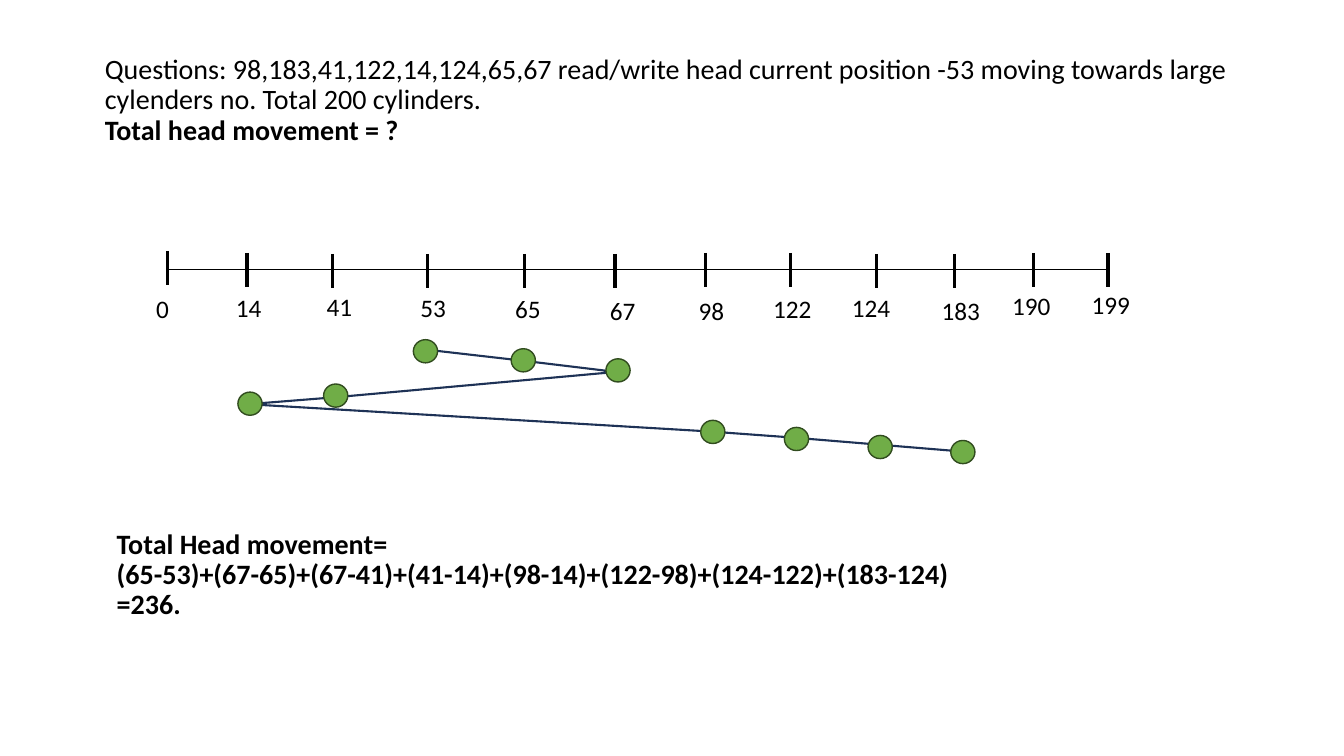
from lxml import etree
from pptx import Presentation
from pptx.dml.color import RGBColor
from pptx.enum import shapes, text
from pptx.oxml import ns
from pptx.util import Inches, Pt

COLORS = {"ink": "000000", "path": "1E3256", "stop": "70AD47", "stop_edge": "314C1F"}
FONT = "Calibri"
AXIS_Y = 2.67
TICK_HEIGHT = 0.34
LABEL_HEIGHT = 0.4
STOP_SIZE = (0.24, 0.23)

# cylinder, tick x, tick top, label left, label top, label width
CYLINDERS = [
    ("0", 1.66, 2.49, 1.45, 2.86, 0.41),
    ("14", 2.45, 2.51, 2.24, 2.85, 0.46),
    ("41", 3.3, 2.52, 3.14, 2.84, 0.49),
    ("53", 4.24, 2.52, 4.07, 2.85, 0.46),
    ("65", 5.2, 2.52, 5.01, 2.86, 0.53),
    ("67", 6.1, 2.52, 5.95, 2.88, 0.48),
    ("98", 7, 2.51, 6.83, 2.88, 0.5),
    ("122", 7.84, 2.51, 7.57, 2.86, 0.71),
    ("124", 8.69, 2.52, 8.35, 2.85, 0.67),
    ("183", 9.47, 2.52, 9.24, 2.88, 0.71),
    ("190", 10.25, 2.51, 9.94, 2.83, 0.71),
    ("199", 10.99, 2.51, 10.73, 2.82, 0.67),
]
HEAD_PATH = [(4.24, 3.47), (5.2, 3.58), (6.11, 3.69), (3.34, 3.94), (2.46, 4.01),
             (7.03, 4.28), (7.85, 4.34), (9.55, 4.48)]
# left and top of each stop, in the order the head visits them
STOPS = [(4.1, 3.37), (5.07, 3.46), (6.01, 3.56), (3.21, 3.81), (2.36, 3.89),
         (6.95, 4.17), (7.78, 4.24), (8.61, 4.32), (9.43, 4.37)]
QUESTION = ("Questions: 98,183,41,122,14,124,65,67 read/write head current position -53 "
            "moving towards large cylenders no. Total 200 cylinders. ")
ANSWER = [
    "Total Head movement=",
    "(65-53)+(67-65)+(67-41)+(41-14)+(98-14)+(122-98)+(124-122)+(183-124)",
    "=236.",
]


def color(name):
    return RGBColor.from_string(COLORS[name])


def add_run(paragraph, words, size, bold=False):
    run = paragraph.add_run()
    run.text = words
    run.font.name = FONT
    run.font.size = Pt(size)
    run.font.bold = bold
    run.font.color.rgb = color("ink")


def add_question(slide):
    title = slide.shapes.title
    title.left, title.top = Inches(0.94), Inches(0.4)
    title.width, title.height = Inches(11.5), Inches(1.2)
    frame = title.text_frame
    frame.vertical_anchor = text.MSO_ANCHOR.MIDDLE
    paragraph = frame.paragraphs[0]
    paragraph.alignment = text.PP_ALIGN.LEFT
    paragraph.line_spacing = 0.9
    add_run(paragraph, QUESTION, 20)
    paragraph.add_line_break()
    add_run(paragraph, "Total head movement = ?", 20, bold=True)


def add_line(slide, x1, y1, x2, y2, weight):
    line = slide.shapes.add_connector(
        shapes.MSO_CONNECTOR.STRAIGHT, Inches(x1), Inches(y1), Inches(x2), Inches(y2))
    line.line.color.rgb = color("ink")
    line.line.width = Pt(weight)
    etree.SubElement(line._element.spPr, ns.qn("a:effectLst"))


def add_label(slide, words, left, top, width):
    label = slide.shapes.add_textbox(
        Inches(left), Inches(top), Inches(width), Inches(LABEL_HEIGHT))
    label.text_frame.word_wrap = True
    add_run(label.text_frame.paragraphs[0], words, 18)


def add_scale(slide):
    """Draw the axis with a tick and a number for each cylinder."""
    add_line(slide, CYLINDERS[0][1], AXIS_Y, CYLINDERS[-1][1], AXIS_Y, 0.5)
    for cylinder, x, tick_top, left, top, width in CYLINDERS:
        add_line(slide, x, tick_top, x, tick_top + TICK_HEIGHT, 2.25)
        add_label(slide, cylinder, left, top, width)


def add_head_path(slide):
    start, *turns = [(Inches(x), Inches(y)) for x, y in HEAD_PATH]
    builder = slide.shapes.build_freeform(*start)
    builder.add_line_segments(turns, close=False)
    route = builder.convert_to_shape()
    route.shadow.inherit = False
    route.fill.background()
    route.line.color.rgb = color("path")
    route.line.width = Pt(1.5)


def add_stop(slide, left, top):
    width, height = STOP_SIZE
    stop = slide.shapes.add_shape(
        shapes.MSO_SHAPE.OVAL, Inches(left), Inches(top), Inches(width), Inches(height))
    stop.shadow.inherit = False
    stop.fill.solid()
    stop.fill.fore_color.rgb = color("stop")
    stop.line.color.rgb = color("stop_edge")
    stop.line.width = Pt(1)


def add_answer(slide):
    answer = slide.shapes.add_textbox(Inches(1.06), Inches(5.11), Inches(11.5), Inches(1.2))
    frame = answer.text_frame
    frame.word_wrap = True
    frame.vertical_anchor = text.MSO_ANCHOR.MIDDLE
    for index, words in enumerate(ANSWER):
        paragraph = frame.add_paragraph() if index else frame.paragraphs[0]
        paragraph.line_spacing = 0.9
        add_run(paragraph, words, 20, bold=True)


def main():
    deck = Presentation()
    deck.slide_width, deck.slide_height = Inches(13.33), Inches(7.5)
    title_only = deck.slide_layouts[5]
    slide = deck.slides.add_slide(title_only)
    add_question(slide)
    add_scale(slide)
    add_head_path(slide)
    for left, top in STOPS:
        add_stop(slide, left, top)
    add_answer(slide)
    deck.save("out.pptx")


if __name__ == "__main__":
    main()
